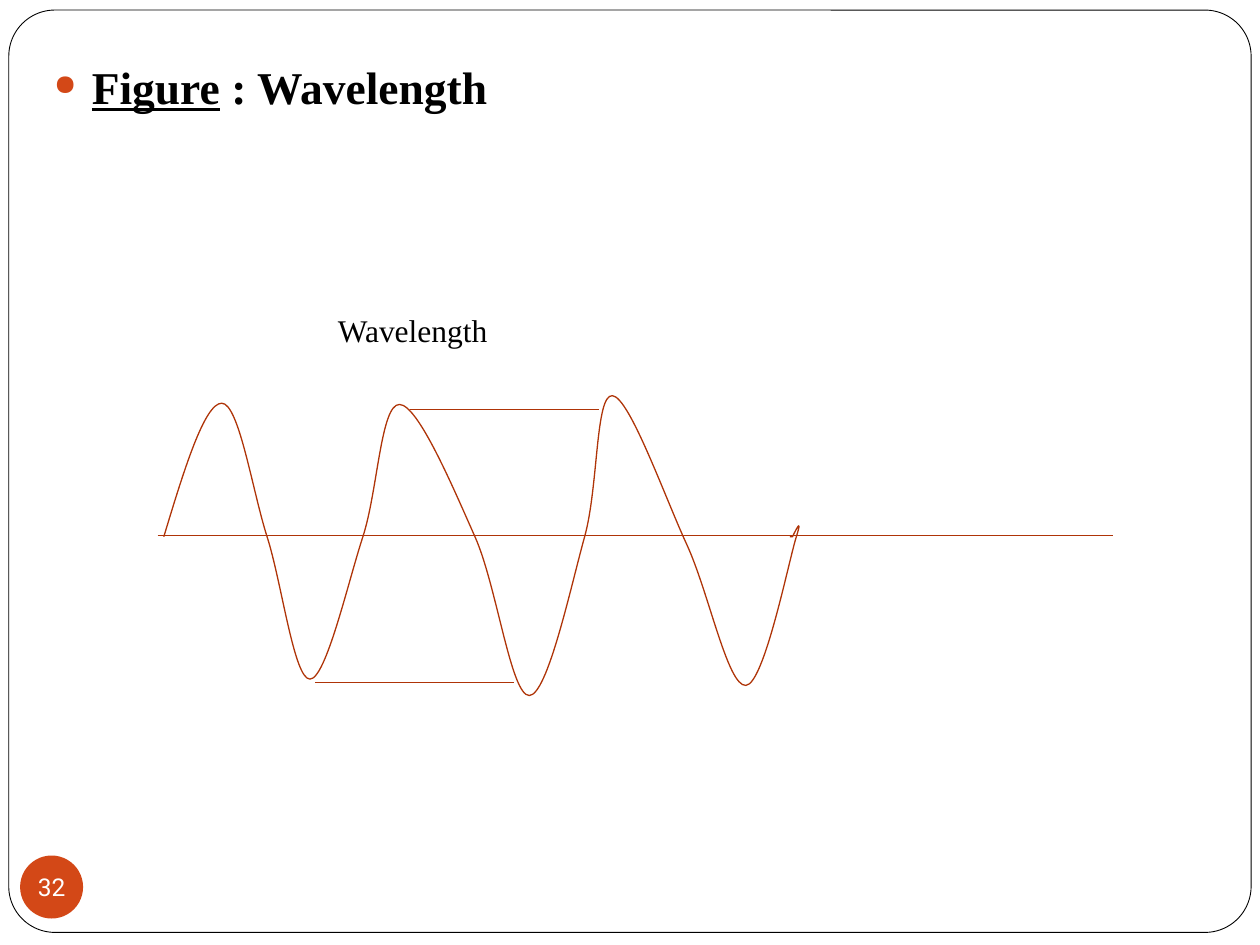
from dataclasses import dataclass
from lxml import etree
from pptx import Presentation
from pptx import util as u
from pptx.dml.color import RGBColor
from pptx.enum import shapes, text
from pptx.oxml.ns import qn


@dataclass(frozen=True)
class Theme:
    paper: str = "FFFFFF"
    ink: str = "000000"
    accent: str = "D34817"
    wave: str = "AF3408"
    serif: str = "Times New Roman"
    sans: str = "Roboto"
    title: int = 26
    label: int = 18
    number: int = 14
    frame_line: float = 0.5
    wave_line: float = 0.75


T = Theme()
W, H = 10, 7.5
COL, ROW = W / 12, H / 90
AXIS = 4.26
KNOTS = [(1.3, AXIS), (1.76, 3.2), (2.12, AXIS), (2.46, 5.39), (2.88, AXIS),
         (3.17, 3.21), (3.77, AXIS), (4.2, 5.52), (4.64, AXIS), (4.86, 3.14),
         (5.45, 4.32), (5.92, 5.44), (6.32, AXIS), (6.29, AXIS)]
LEAD_IN, LEAD_OUT = (0.8, 6.38), (6.32, AXIS)
TAIL = (6.27, AXIS)


def rgb(value):
    return RGBColor.from_string(value)


def style_line(line, color, width):
    line.color.rgb = rgb(color)
    line.width = u.Pt(width)


def style_font(font, face, size, color):
    font.name = face
    font.size = u.Pt(size)
    font.color.rgb = rgb(color)


def add_shape(s, kind, x, y, w, h, fill):
    sp = s.shapes.add_shape(kind, *map(u.Inches, (x, y, w, h)))
    sp.shadow.inherit = False
    sp.fill.solid()
    sp.fill.fore_color.rgb = rgb(fill)
    return sp


def add_frame(s):
    sp = add_shape(s, shapes.MSO_SHAPE.ROUNDED_RECTANGLE, 0.07, 0.08, 9.86, 7.32, T.paper)
    sp.adjustments[0] = 0.05
    style_line(sp.line, T.ink, T.frame_line)


def add_number(s, value):
    sp = add_shape(s, shapes.MSO_SHAPE.OVAL, 0.16, 6.79, 0.5, 0.5, T.accent)
    sp.line.fill.background()
    tf = sp.text_frame
    tf.margin_left = tf.margin_right = tf.margin_top = tf.margin_bottom = 0
    tf.word_wrap = False
    tf.vertical_anchor = text.MSO_ANCHOR.MIDDLE
    tf.text = value
    p = tf.paragraphs[0]
    p.alignment = text.PP_ALIGN.CENTER
    style_font(p.runs[0].font, T.sans, T.number, T.paper)


def add_text(s, x, y, w, h, parts, size):
    tf = s.shapes.add_textbox(*map(u.Inches, (x, y, w, h))).text_frame
    tf.word_wrap = True
    p = tf.paragraphs[0]
    for part in parts:
        r = p.add_run()
        r.text = part
        style_font(r.font, T.serif, size, T.ink)
    return p


def add_bullet(p, indent):
    pPr = p._p.get_or_add_pPr()
    pPr.set("marL", str(u.Inches(indent)))
    pPr.set("indent", str(-u.Inches(indent)))
    color = etree.SubElement(pPr, qn("a:buClr"))
    etree.SubElement(color, qn("a:srgbClr"), val=T.accent)
    etree.SubElement(pPr, qn("a:buSzPct"), val="63000")
    etree.SubElement(pPr, qn("a:buChar"), char="●")


def add_title(s):
    p = add_text(s, 0.33, 0.42, 9.42, 6.33, ["Figure", " : Wavelength"], T.title)
    add_bullet(p, 0.3)
    for r in p.runs:
        r.font.bold = True
    p.runs[0].font.underline = True


def add_level(s, x1, x2, y):
    c = s.shapes.add_connector(shapes.MSO_CONNECTOR.STRAIGHT,
                               *map(u.Inches, (x1, y, x2, y)))
    style_line(c.line, T.wave, T.wave_line)
    etree.SubElement(c._element.spPr, qn("a:effectLst"))


def to_emu(point):
    return tuple(map(u.Inches, point))


def controls(a, b, c, d):
    first = tuple(q + (r - p) / 6 for p, q, r in zip(a, b, c))
    second = tuple(r - (t - q) / 6 for q, r, t in zip(b, c, d))
    return first, second


def round_segments(sp, pts):
    lines = list(sp._element.iter(qn("a:lnTo")))
    left, top = sp.left, sp.top
    for line, quad in zip(lines, zip(pts, pts[1:], pts[2:], pts[3:])):
        line.tag = qn("a:cubicBezTo")
        for i, (x, y) in enumerate(controls(*quad)):
            pt = etree.Element(qn("a:pt"), x=str(round(x - left)), y=str(round(y - top)))
            line.insert(i, pt)


def add_wave(s):
    knots = [to_emu(k) for k in KNOTS]
    fb = s.shapes.build_freeform(*knots[0])
    fb.add_line_segments([*knots[1:], to_emu(TAIL)], close=False)
    sp = fb.convert_to_shape()
    sp.shadow.inherit = False
    sp.fill.background()
    style_line(sp.line, T.wave, T.wave_line)
    round_segments(sp, [to_emu(LEAD_IN), *knots, to_emu(LEAD_OUT)])


def main():
    prs = Presentation()
    prs.slide_width, prs.slide_height = u.Inches(W), u.Inches(H)
    s = prs.slides.add_slide(prs.slide_layouts[6])
    add_frame(s)
    add_number(s, "32")
    add_title(s)
    add_level(s, 1.5 * COL, 10.6 * COL, 51 * ROW)
    add_text(s, 3.1 * COL, 29 * ROW, 2.3 * COL, 0.4, ["Wavelength"], T.label)
    add_wave(s)
    add_level(s, 3.9 * COL, 5.7 * COL, 39 * ROW)
    add_level(s, 3 * COL, 4.9 * COL, 65 * ROW)
    prs.save("out.pptx")


if __name__ == "__main__":
    main()
